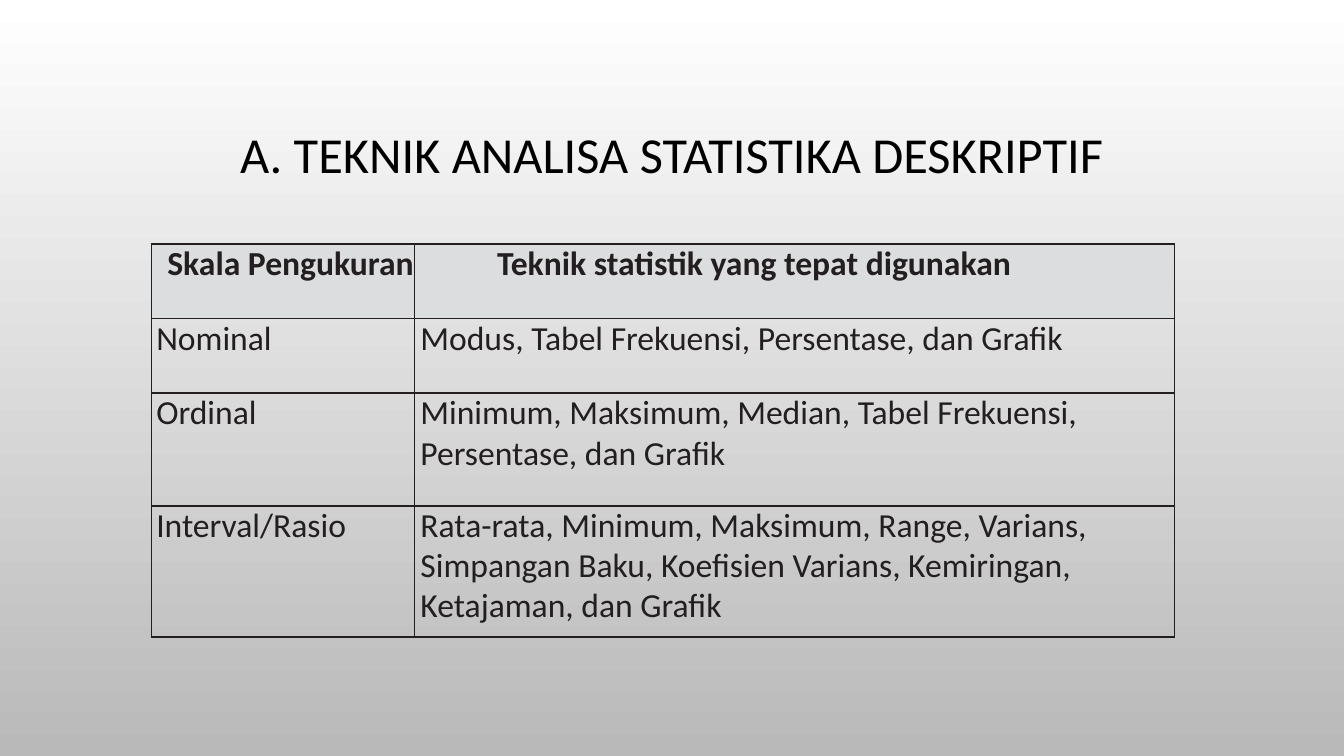
import pptx
import pptx.dml.color
import pptx.enum.text
import pptx.oxml
import pptx.oxml.ns
import pptx.util

WIDTH, HEIGHT = 13.33, 7.5
FONT = "Calibri"
INK, HEADER_FILL = "231F20", "DCDDDE"
COLUMNS = [2.61, 7.54]
ROWS = [0.74, 0.74, 1.12, 1.3]
HEADER_INDENTS, BODY_INDENTS = [0.16, 0.82], [0.05, 0.06]
SCALES = [
    ("Skala Pengukuran", "Teknik statistik yang tepat digunakan"),
    ("Nominal", "Modus, Tabel Frekuensi, Persentase, dan Grafik"),
    ("Ordinal", "Minimum, Maksimum, Median, Tabel Frekuensi, Persentase, dan Grafik"),
    ("Interval/Rasio", "Rata-rata, Minimum, Maksimum, Range, Varians, Simpangan Baku, "
     "Koefisien Varians, Kemiringan, Ketajaman, dan Grafik"),
]


def rgb(value):
    return pptx.dml.color.RGBColor.from_string(value)


def inches(*values):
    return [pptx.util.Inches(v) for v in values]


def add_run(p, text, size, color, bold=False):
    r = p.add_run()
    r.text = text
    r.font.name, r.font.size, r.font.bold = FONT, pptx.util.Pt(size), bold
    r.font.color.rgb = rgb(color)


def set_background(s, top, bottom):
    fill = s.background.fill
    fill.gradient()
    fill.gradient_angle = 270
    for stop, position, color in zip(fill.gradient_stops, (0, 1), (top, bottom)):
        stop.position = position
        stop.color.rgb = rgb(color)


def set_title(s, text):
    sp = s.shapes.title
    sp.left, sp.top, sp.width, sp.height = inches(1, 0.68, 11.33, 1.75)
    tf = sp.text_frame
    tf.word_wrap = True
    tf.vertical_anchor = pptx.enum.text.MSO_ANCHOR.MIDDLE
    p = tf.paragraphs[0]
    p.alignment = pptx.enum.text.PP_ALIGN.CENTER
    p.line_spacing = 0.9
    add_run(p, text, 36, "000000")


def set_borders(cell, color, width):
    tc_pr = cell._tc.get_or_add_tcPr()
    for i, side in enumerate("LRTB"):
        tc_pr.insert(i, pptx.oxml.parse_xml(
            f'<a:ln{side} {pptx.oxml.ns.nsdecls("a")} w="{pptx.util.Pt(width)}">'
            f'<a:solidFill><a:srgbClr val="{color}"/></a:solidFill></a:ln{side}>'))


def fill_cell(cell, text, indent, header, long_text):
    cell.margin_left = cell.margin_right = cell.margin_top = cell.margin_bottom = 0
    if header:
        cell.fill.solid()
        cell.fill.fore_color.rgb = rgb(HEADER_FILL)
    else:
        cell.fill.background()
    set_borders(cell, INK, 1)
    p = cell.text_frame.paragraphs[0]
    p.space_before = pptx.util.Pt(2.1 if long_text else 1.9)
    if long_text:
        p.line_spacing = 0.97
    p_pr = p._p.get_or_add_pPr()
    p_pr.set("marL", str(pptx.util.Inches(indent)))
    p_pr.set("indent", "0")
    add_run(p, text, 24, INK, bold=header)


def add_scale_table(s, left, top):
    box = inches(left, top, sum(COLUMNS), sum(ROWS))
    table = s.shapes.add_table(len(ROWS), len(COLUMNS), *box).table
    table.first_row = table.horz_banding = False
    for column, width in zip(table.columns, inches(*COLUMNS)):
        column.width = width
    for row, height in zip(table.rows, inches(*ROWS)):
        row.height = height
    for i, texts in enumerate(SCALES):
        indents = BODY_INDENTS if i else HEADER_INDENTS
        for j, text in enumerate(texts):
            fill_cell(table.cell(i, j), text, indents[j], i == 0, len(text) > 80)


def main():
    prs = pptx.Presentation()
    prs.slide_width, prs.slide_height = inches(WIDTH, HEIGHT)
    s = prs.slides.add_slide(prs.slide_layouts.get_by_name("Title Only"))
    # Background and heading
    set_background(s, "FFFFFF", "B9B9B9")
    set_title(s, "A. TEKNIK ANALISA STATISTIKA DESKRIPTIF")
    # Measurement scales and their techniques
    add_scale_table(s, 1.5, 2.42)
    prs.save("out.pptx")


if __name__ == "__main__":
    main()
